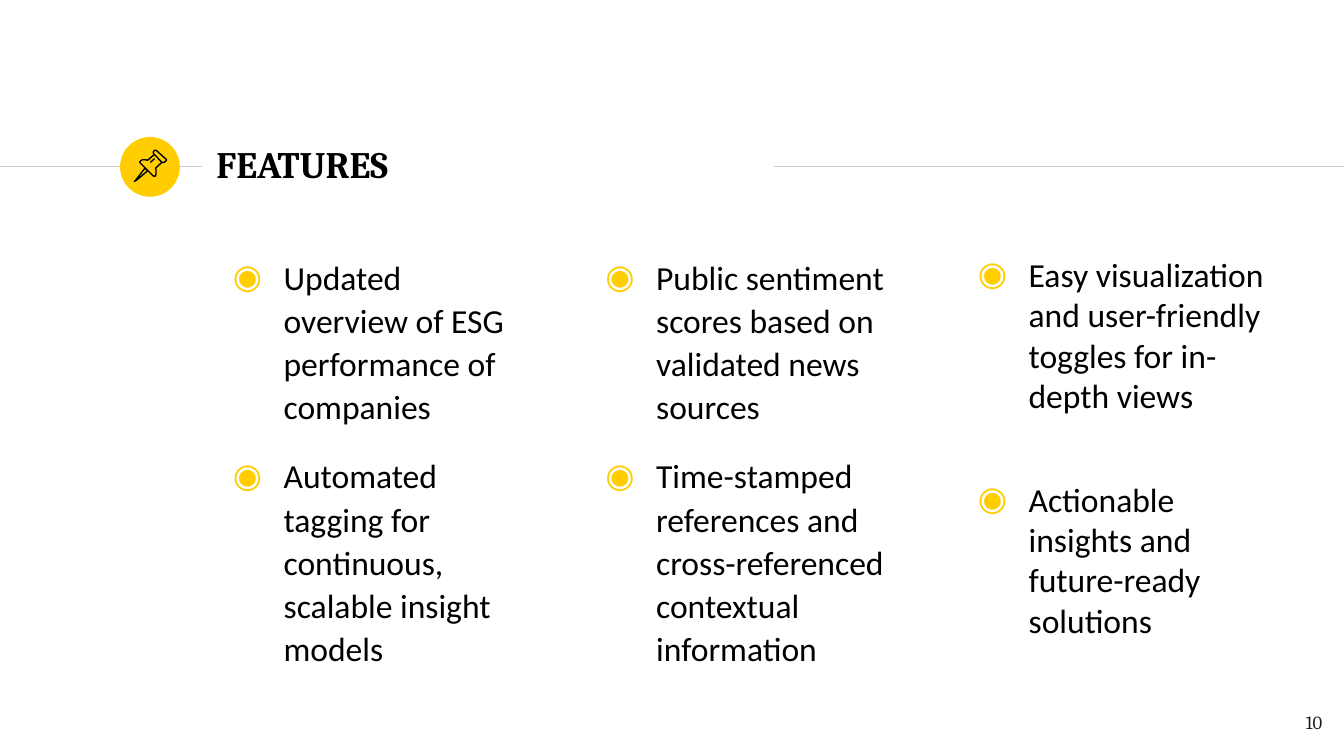
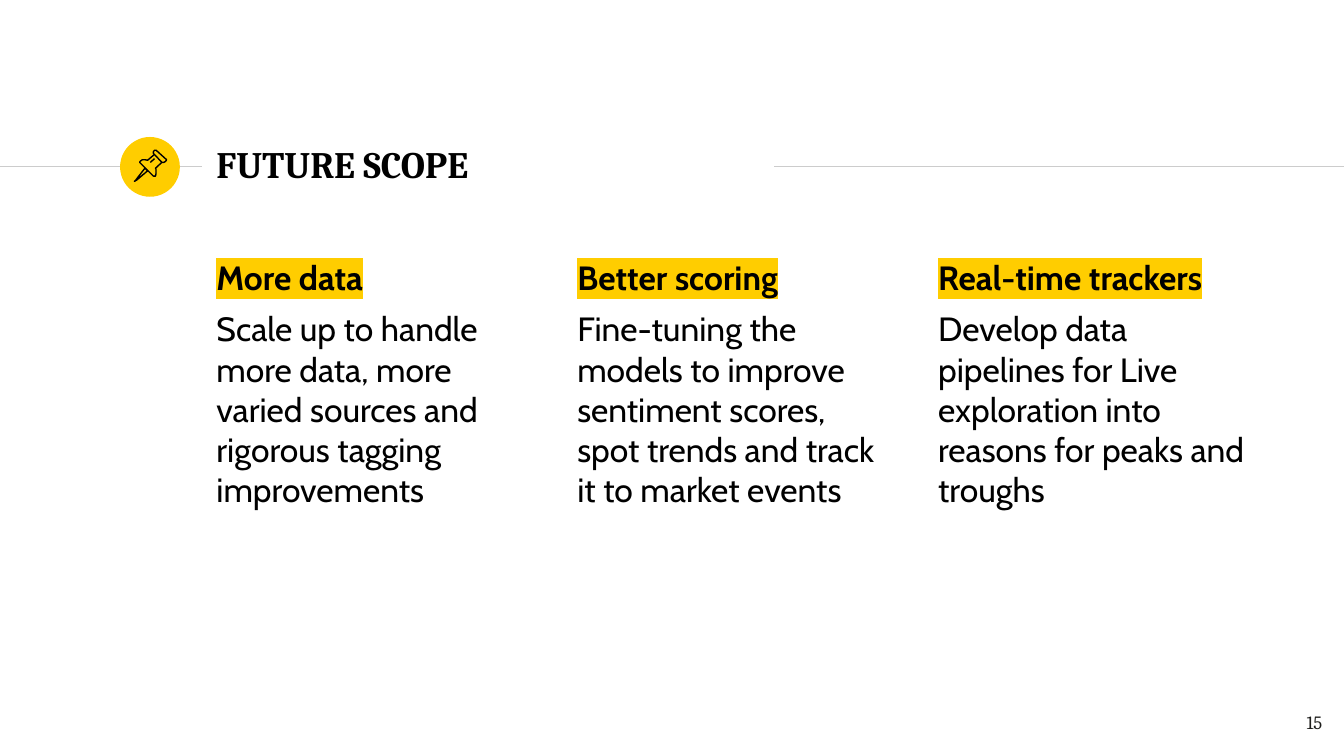
import pptx
import pptx.dml.color
import pptx.enum.shapes
import pptx.enum.text
import pptx.oxml.ns
import pptx.util
from lxml import etree

Cm, Pt = pptx.util.Cm, pptx.util.Pt
Align = pptx.enum.text.PP_ALIGN
Anchor = pptx.enum.text.MSO_ANCHOR
qn = pptx.oxml.ns.qn

YELLOW, BLACK, GREY, NUMBER_INK = "FFCD00", "000000", "CCCCCC", "1D1D1B"
RULE_Y = 3.15
COLUMN_LEFT, COLUMN_WIDTH, COLUMN_HEIGHT = 3.84, 6.48, 8.66

FRAME = dict(word_wrap=True, auto_size=pptx.enum.text.MSO_AUTO_SIZE.NONE,
             margin_left=Cm(0.25), margin_right=Cm(0.25),
             margin_top=Cm(0.25), margin_bottom=Cm(0.25))
TITLE_FONT = dict(name="Cambria", size=Pt(20), bold=True)
NUMBER_FONT = dict(name="Cambria", size=Pt(10), bold=False)
FEATURE_FONT = dict(name="Calibri", size=Pt(18), bold=False)
SCOPE_FONT = dict(name="Cabin", size=Pt(18), bold=False)
SCOPE_HEAD_FONT = dict(SCOPE_FONT, bold=True)

LOOSE = dict(line_spacing=1.07, space_before=Pt(6), space_after=Pt(8))
PLAIN = dict(line_spacing=1.0, space_before=Pt(6), space_after=Pt(0))
SPREAD = dict(PLAIN, space_before=Pt(34))

# Pushpin outlines in centimetres: points, closed or open
PIN_OUTLINES = [
    ([(2.74, 3.18), (2.57, 3.4), (2.54, 3.43), (2.59, 3.4), (2.79, 3.23)], True),
    ([(2.92, 2.92), (3.06, 3.07), (3.1, 3.07), (3.13, 3.05), (3.15, 3.02),
      (2.95, 2.84), (2.92, 2.84), (2.9, 2.87), (2.9, 2.9)], True),
    ([(2.92, 2.92), (2.79, 3.03), (2.74, 3.02), (2.69, 3.02), (2.65, 3.05),
      (2.64, 3.07), (2.9, 3.33), (2.94, 3.33), (2.95, 3.28), (2.95, 3.2),
      (2.94, 3.18), (3.06, 3.07)], False),
]

FEATURES = [
    [("Updated overview of ESG performance of companies", LOOSE),
     ("Automated tagging for continuous, scalable insight models", LOOSE)],
    [("Public sentiment scores based on validated news sources", LOOSE),
     ("Time-stamped references and cross-referenced contextual information", LOOSE)],
    [("Easy visualization and user-friendly toggles for in-depth views", PLAIN),
     ("Actionable insights and future-ready solutions", SPREAD)],
]
SCOPE = [
    ("More data", "Scale up to handle more data, more varied sources and "
                  "rigorous tagging improvements"),
    ("Better scoring", "Fine-tuning the models to improve sentiment scores, "
                       "spot trends and track it to market events"),
    ("Real-time trackers", "Develop data pipelines for Live exploration into "
                           "reasons for peaks and troughs"),
]


def rgb(value):
    return pptx.dml.color.RGBColor.from_string(value)


def apply(obj, values):
    for name, value in values.items():
        setattr(obj, name, value)


def place(sp, left, top, width, height):
    apply(sp, dict(left=Cm(left), top=Cm(top), width=Cm(width), height=Cm(height)))


def write(p, text, font, color=BLACK, align=Align.LEFT):
    p.alignment = align
    r = p.add_run()
    r.text = text
    apply(r.font, font)
    r.font.color.rgb = rgb(color)
    return r


def highlight(r, color):
    mark = etree.Element(qn("a:highlight"))
    etree.SubElement(mark, qn("a:srgbClr"), val=color)
    r.font._element.find(qn("a:latin")).addprevious(mark)


def set_bullet(p, char=None):
    """Give the paragraph a hanging yellow bullet, or none without a char."""
    pPr = p._p.get_or_add_pPr()
    pPr.set("marL", str(Cm(1.27) if char else 0))
    pPr.set("indent", str(Cm(-0.96) if char else 0))
    if char:
        color = etree.SubElement(pPr, qn("a:buClr"))
        etree.SubElement(color, qn("a:srgbClr"), val=YELLOW)
        etree.SubElement(pPr, qn("a:buChar"), char=char)
    else:
        etree.SubElement(pPr, qn("a:buNone"))


def add_line(shapes, x1, y1, x2, y2, color):
    line = shapes.add_connector(pptx.enum.shapes.MSO_CONNECTOR.STRAIGHT,
                                Cm(x1), Cm(y1), Cm(x2), Cm(y2))
    line.line.color.rgb = rgb(color)
    line.line.width = Pt(0.75)
    etree.SubElement(line._element.spPr, qn("a:effectLst"))


def add_pin(slide):
    shapes = slide.shapes.add_group_shape().shapes
    for points, closed in PIN_OUTLINES:
        start, *rest = [(Cm(x), Cm(y)) for x, y in points]
        builder = shapes.build_freeform(*start)
        builder.add_line_segments(rest, close=closed)
        sp = builder.convert_to_shape()
        sp.shadow.inherit = False
        sp.fill.background()
        sp.line.color.rgb = rgb(BLACK)
        sp.line.width = Pt(0.75)
    add_line(shapes, 2.84, 3.07, 2.92, 3.0, BLACK)


def add_badge(slide):
    sp = slide.shapes.add_shape(pptx.enum.shapes.MSO_SHAPE.OVAL,
                                Cm(2.27), Cm(2.59), Cm(1.13), Cm(1.13))
    sp.shadow.inherit = False
    sp.fill.solid()
    sp.fill.fore_color.rgb = rgb(YELLOW)
    sp.line.fill.background()
    add_pin(slide)


def add_number(slide, number):
    sp = slide.shapes.add_textbox(Cm(23.72), Cm(13.18), Cm(1.52), Cm(1.09))
    apply(sp.text_frame, FRAME)
    write(sp.text_frame.paragraphs[0], str(number), NUMBER_FONT, NUMBER_INK, Align.RIGHT)


def add_slide(prs, title, number, top, pitch):
    """Add a titled slide and return it with its three column text frames."""
    slide = prs.slides.add_slide(prs.slide_layouts.get_by_name("Comparison"))
    sp, *columns, spare = slide.placeholders
    spare._element.getparent().remove(spare._element)
    place(sp, COLUMN_LEFT, 2.49, 10.77, 1.22)
    apply(sp.text_frame, dict(FRAME, vertical_anchor=Anchor.MIDDLE))
    write(sp.text_frame.paragraphs[0], title, TITLE_FONT)
    for i, column in enumerate(columns):
        place(column, COLUMN_LEFT + i * pitch, top, COLUMN_WIDTH, COLUMN_HEIGHT)
        apply(column.text_frame, dict(FRAME, vertical_anchor=Anchor.TOP))
    add_line(slide.shapes, 0, RULE_Y, 3.81, RULE_Y, GREY)
    add_line(slide.shapes, 14.63, RULE_Y, 25.4, RULE_Y, GREY)
    add_badge(slide)
    add_number(slide, number)
    return [column.text_frame for column in columns]


def fill_features(tf, items):
    for i, (text, spacing) in enumerate(items):
        p = tf.add_paragraph() if i else tf.paragraphs[0]
        apply(p, spacing)
        set_bullet(p, "◉")
        write(p, text, FEATURE_FONT)


def fill_scope(tf, head, text):
    head_p, text_p = tf.paragraphs[0], tf.add_paragraph()
    for p in (head_p, text_p):
        apply(p, PLAIN)
        set_bullet(p)
    highlight(write(head_p, head, SCOPE_HEAD_FONT), YELLOW)
    write(text_p, text, SCOPE_FONT)


def main():
    prs = pptx.Presentation()
    prs.slide_width, prs.slide_height = Cm(25.4), Cm(14.29)
    for tf, items in zip(add_slide(prs, "FEATURES", 10, 4.55, 7.04), FEATURES):
        fill_features(tf, items)
    for tf, (head, text) in zip(add_slide(prs, "FUTURE SCOPE", 15, 4.6, 6.82), SCOPE):
        fill_scope(tf, head, text)
    prs.save("out.pptx")


if __name__ == "__main__":
    main()
